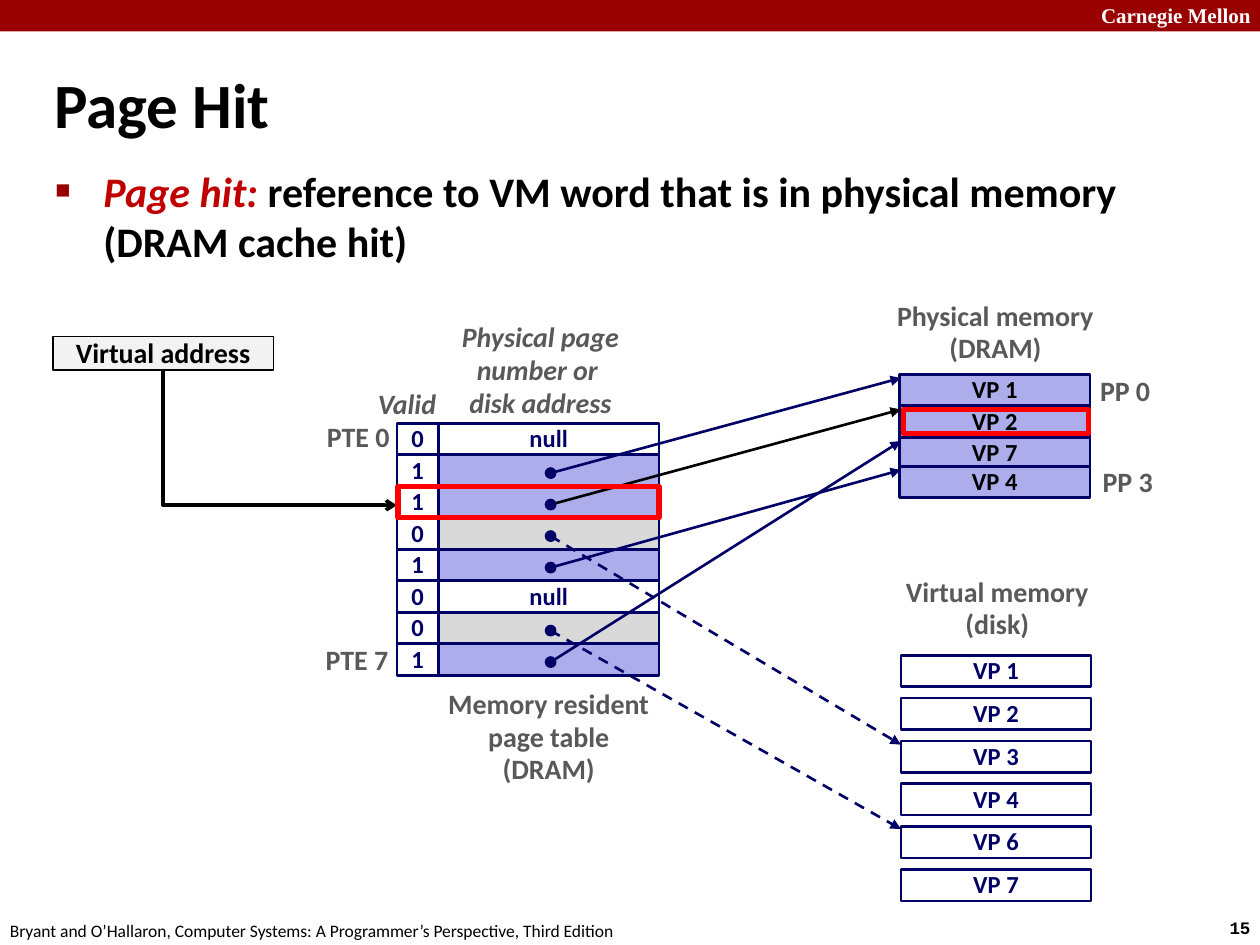
from dataclasses import dataclass
from lxml.etree import SubElement
from pptx import Presentation
from pptx.dml.color import RGBColor
from pptx.enum.dml import MSO_LINE
from pptx.enum.shapes import MSO_CONNECTOR, MSO_SHAPE
from pptx.enum.text import MSO_ANCHOR, MSO_AUTO_SIZE, PP_ALIGN
from pptx.oxml.ns import qn
from pptx.util import Inches, Pt


@dataclass(frozen=True)
class Theme:
    font: str = "Calibri"
    brand_font: str = "Times New Roman"
    number_font: str = "Courier New"
    black: str = "000000"
    white: str = "FFFFFF"
    banner: str = "990000"
    term: str = "C00000"
    navy: str = "000066"
    cached: str = "ADADEB"
    on_disk: str = "D9D9D9"
    address: str = "F2F2F2"
    label: str = "595959"
    highlight: str = "FF0000"
    title_size: int = 36
    body_size: int = 24
    label_size: int = 16
    cell_size: int = 14
    brand_size: int = 12
    footer_size: int = 10


THEME = Theme()
LEFT, CENTER, RIGHT = PP_ALIGN.LEFT, PP_ALIGN.CENTER, PP_ALIGN.RIGHT

# Content
TITLE = "Page Hit"
DEFINITION = [("Page hit: ", THEME.term, True),
              ("reference to VM word that is in physical memory (DRAM cache hit)",
               THEME.black, False)]
# valid bit, kind of entry, height at which its arrow ends
PAGE_TABLE = [("0", "null", None), ("1", "cached", 3.0), ("1", "cached", 3.25),
              ("0", "on_disk", 5.91), ("1", "cached", 3.73), ("0", "null", None),
              ("0", "on_disk", 6.58), ("1", "cached", 3.5)]
HIT_ROW = 2
PHYSICAL_PAGES = [("VP 1", 2.97), ("VP 2", 3.22), ("VP 7", 3.47), ("VP 4", 3.7)]
DISK_PAGES = ["VP 1", "VP 2", "VP 3", "VP 4", "VP 6", "VP 7"]
# text, box, alignment, italic
LABELS = [
    ("Memory resident\npage table\n(DRAM)", (3.43, 5.41, 1.85, 0.89), CENTER, False),
    ("Physical memory\n(DRAM)", (7.01, 2.33, 1.78, 0.63), CENTER, False),
    ("Virtual memory\n(disk)", (7.07, 4.52, 1.69, 0.63), CENTER, False),
    ("Valid", (2.9, 3.03, 0.75, 0.37), LEFT, True),
    ("Physical page\nnumber or \ndisk address", (3.56, 2.5, 1.46, 0.89), CENTER, True),
    ("PTE 0", (2.49, 3.29, 0.7, 0.37), RIGHT, False),
    ("PTE 7", (2.48, 5.06, 0.7, 0.37), RIGHT, False),
    ("PP 0", (8.63, 2.93, 0.6, 0.37), CENTER, False),
    ("PP 3", (8.65, 3.65, 0.6, 0.37), CENTER, False),
]
# text, box, font, size, colour, bold
MARGIN_TEXTS = [
    ("Carnegie Mellon", (8.64, -0.03, 1.43, 0.3), THEME.brand_font,
     THEME.brand_size, THEME.white, True),
    ("15", (9.66, 7.23, 0.45, 0.27), THEME.number_font,
     THEME.footer_size, THEME.black, True),
    ("Bryant and O’Hallaron, Computer Systems: A Programmer’s Perspective, Third Edition",
     (-0.02, 7.25, 5.08, 0.27), THEME.font, THEME.footer_size, THEME.black, False),
]

# Layout, in inches
TABLE_TOP, ROW_HEIGHT = 3.36, 0.25
VALID_LEFT, VALID_WIDTH = 3.15, 0.33
ENTRY_LEFT, ENTRY_WIDTH = 3.48, 1.75
PAGE_LEFT, PAGE_WIDTH = 7.14, 1.51
DISK_LEFT, DISK_TOP, DISK_STEP = 7.15, 5.2, 0.34
DOT_X, DOT_SIZE, DOT_DROP = 4.37, 0.08, 0.02
ADDRESS_BOX = (0.42, 2.67, 1.75, 0.27)

prs = Presentation()
prs.slide_width, prs.slide_height = Inches(10), Inches(7.5)
slide = prs.slides.add_slide(prs.slide_layouts[1])


def rgb(color):
    return RGBColor.from_string(color)


def style(font, size, color, bold=True, italic=False, name=THEME.font):
    font.name, font.size, font.bold, font.italic = name, Pt(size), bold, italic
    font.color.rgb = rgb(color)


def write(frame, text, align, size, color, spacing=0.98, **font_options):
    frame.text = text
    frame.word_wrap = False
    for paragraph in frame.paragraphs:
        paragraph.alignment = align
        paragraph.line_spacing = spacing
        for run in paragraph.runs:
            style(run.font, size, color, **font_options)


def add_text(text, box, align, size, color, **options):
    text_box = slide.shapes.add_textbox(*map(Inches, box))
    write(text_box.text_frame, text, align, size, color, **options)
    text_box.text_frame.auto_size = MSO_AUTO_SIZE.SHAPE_TO_FIT_TEXT


def add_block(box, fill=None, line=THEME.navy, width=1.5, text="",
              color=THEME.navy, size=THEME.cell_size, kind=MSO_SHAPE.RECTANGLE):
    block = slide.shapes.add_shape(kind, *map(Inches, box))
    block.shadow.inherit = False
    if fill:
        block.fill.solid()
        block.fill.fore_color.rgb = rgb(fill)
    else:
        block.fill.background()
    if line:
        block.line.color.rgb = rgb(line)
        block.line.width = Pt(width)
    else:
        block.line.fill.background()
    if text:
        write(block.text_frame, text, CENTER, size, color)
        block.text_frame.vertical_anchor = MSO_ANCHOR.MIDDLE


def add_arrow(start, end, color, width=1.5, head="triangle", dashed=False,
              kind=MSO_CONNECTOR.STRAIGHT):
    arrow = slide.shapes.add_connector(kind, *map(Inches, (*start, *end)))
    arrow.line.color.rgb = rgb(color)
    arrow.line.width = Pt(width)
    if dashed:
        arrow.line.dash_style = MSO_LINE.DASH
    SubElement(arrow.line._get_or_add_ln(), qn("a:tailEnd"), type=head)
    SubElement(arrow._element.spPr, qn("a:effectLst"))
    return arrow


def place(placeholder, box):
    placeholder.left, placeholder.top, placeholder.width, placeholder.height = map(Inches, box)
    placeholder.text_frame.auto_size = MSO_AUTO_SIZE.NONE
    return placeholder.text_frame


# Banner, footer and page number
add_block((0, 0, 10, 0.25), THEME.banner, line=None)
for text, box, name, size, color, bold in MARGIN_TEXTS:
    add_text(text, box, LEFT, size, color, spacing=1, bold=bold, name=name)

# Title
title_frame = place(slide.shapes.title, (0.33, 0.39, 9.06, 0.86))
title_frame.text = TITLE
title_frame.vertical_anchor = MSO_ANCHOR.MIDDLE
title_frame.paragraphs[0].alignment = LEFT
style(title_frame.paragraphs[0].runs[0].font, THEME.title_size, THEME.black)

# Definition with a square bullet
definition = place(slide.placeholders[1], (0.34, 1.26, 9.09, 0.66)).paragraphs[0]
definition.space_before = Pt(0)
bullet = definition._p.get_or_add_pPr()
bullet.set("marL", str(Inches(0.38)))
bullet.set("indent", str(Inches(-0.38)))
SubElement(SubElement(bullet, qn("a:buClr")), qn("a:srgbClr"), val=THEME.banner)
SubElement(bullet, qn("a:buSzPct"), val="60000")
SubElement(bullet, qn("a:buFont"), typeface="Arial")
SubElement(bullet, qn("a:buChar"), char="■")
for text, color, italic in DEFINITION:
    run = definition.add_run()
    run.text = text
    style(run.font, THEME.body_size, color, italic=italic)

# Page table
fills = {"null": THEME.white, "cached": THEME.cached, "on_disk": THEME.on_disk}
row_tops = [TABLE_TOP + row * ROW_HEIGHT for row in range(len(PAGE_TABLE))]
for top, (valid, kind, _) in zip(row_tops, PAGE_TABLE):
    add_block((ENTRY_LEFT, top, ENTRY_WIDTH, ROW_HEIGHT), fills[kind],
              text="null" if kind == "null" else "")
    add_block((VALID_LEFT, top, VALID_WIDTH, ROW_HEIGHT), text=valid)

# Physical and virtual memory
for page, top in PHYSICAL_PAGES:
    add_block((PAGE_LEFT, top, PAGE_WIDTH, ROW_HEIGHT), THEME.cached,
              text=page, color=THEME.black)
for index, page in enumerate(DISK_PAGES):
    add_block((DISK_LEFT, DISK_TOP + index * DISK_STEP, PAGE_WIDTH, ROW_HEIGHT),
              THEME.white, text=page)

# Pointers from table entries to pages
for row, (top, (_, kind, target)) in enumerate(zip(row_tops, PAGE_TABLE)):
    if target is None:
        continue
    dot_y = top + ROW_HEIGHT / 2 + DOT_DROP
    add_arrow((DOT_X, dot_y), (DISK_LEFT, target),
              THEME.black if row == HIT_ROW else THEME.navy, dashed=kind == "on_disk")
    add_block((DOT_X - DOT_SIZE / 2, dot_y - DOT_SIZE / 2, DOT_SIZE, DOT_SIZE),
              THEME.navy, width=1, kind=MSO_SHAPE.OVAL)

for text, box, align, italic in LABELS:
    add_text(text, box, align, THEME.label_size, THEME.label, italic=italic)

# Virtual address and its elbow arrow, a quarter turn of a mirrored two-part bend
add_block(ADDRESS_BOX, THEME.address, THEME.black, 1, "Virtual address",
          THEME.black, THEME.label_size)
start_x, start_y = ADDRESS_BOX[0] + ADDRESS_BOX[2] / 2, ADDRESS_BOX[1] + ADDRESS_BOX[3]
end_x, end_y = VALID_LEFT, row_tops[HIT_ROW] + 0.15
run_x, drop_y = end_x - start_x, end_y - start_y
left, top = (start_x + end_x - drop_y) / 2, (start_y + end_y - run_x) / 2
elbow = add_arrow((left, top), (left + drop_y, top + run_x), THEME.black, 2, "arrow",
                  kind=MSO_CONNECTOR.ELBOW)
elbow._element.spPr.find(qn("a:prstGeom")).set("prst", "bentConnector2")
elbow_frame = elbow._element.spPr.find(qn("a:xfrm"))
elbow_frame.set("rot", str(270 * 60000))
elbow_frame.set("flipH", "1")

# Highlights of the hit
for box in [(7.17, 3.25, 1.47, 0.19), (3.16, row_tops[HIT_ROW], 2.07, ROW_HEIGHT)]:
    add_block(box, line=THEME.highlight, width=3)

prs.save("out.pptx")
